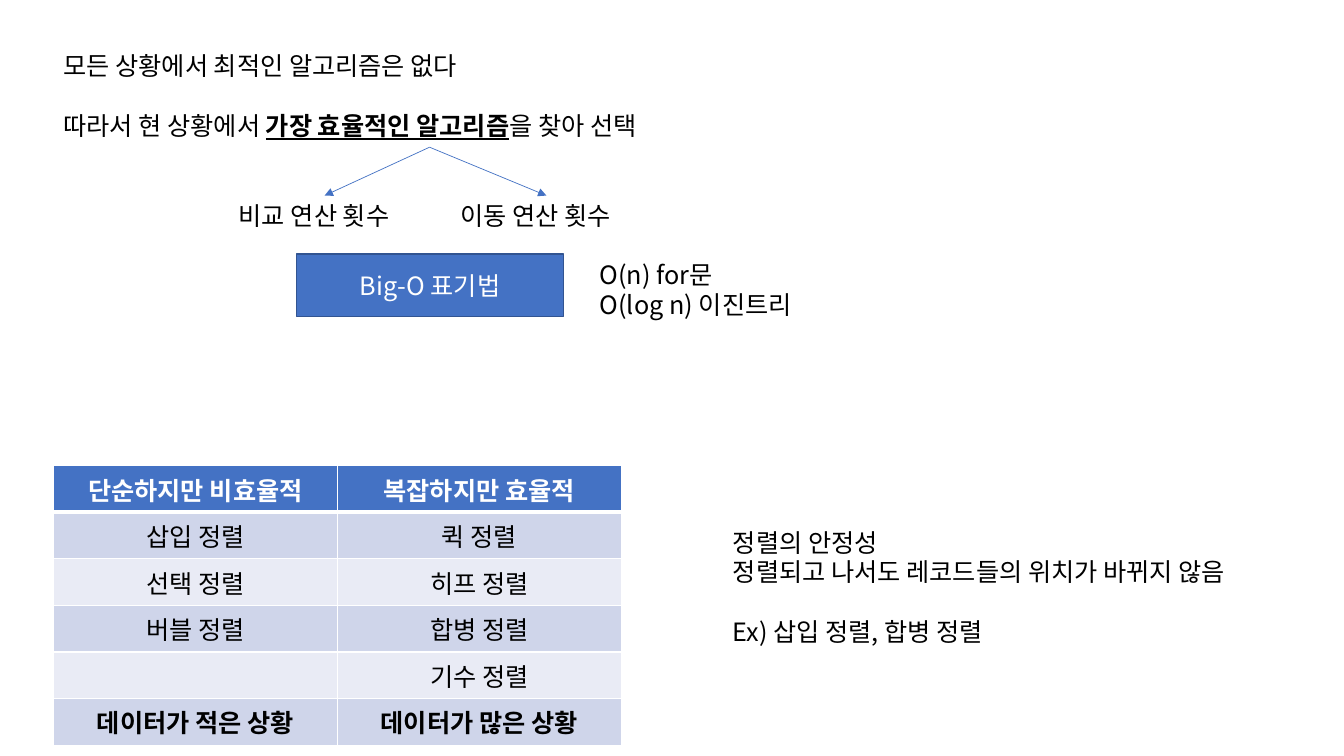
from dataclasses import dataclass

from lxml import etree
from pptx import Presentation, util as u
from pptx.dml.color import RGBColor
from pptx.enum import shapes as s, text as t
from pptx.oxml import ns


@dataclass(frozen=True)
class Theme:
    font: str = "Noto Sans CJK KR"
    size: float = 18
    pitch: float = 21.4
    thin: float = 1
    thick: float = 3
    arrow: float = 0.5
    blue: str = "4472C4"
    edge: str = "325491"
    dark: str = "000000"
    white: str = "FFFFFF"
    bands: tuple[str, str] = ("CFD5EA", "E9EBF5")


@dataclass(frozen=True)
class Box:
    x: float
    y: float
    w: float
    h: float


@dataclass(frozen=True)
class Run:
    text: str
    strong: bool = False


@dataclass(frozen=True)
class Line:
    runs: tuple[Run, ...]
    gap: bool = False


@dataclass(frozen=True)
class Note:
    box: Box
    lines: tuple[Line, ...]


THEME = Theme()
WIDE, HIGH = u.Inches(13.33), u.Inches(7.5)
TOP, ROW = 25.87, 6.13
FORK = (31.96, 19.47)
GRID = Box(3.98, 61.6, 42.24, 6 * ROW)
BADGE = Box(22.06, 33.6, 19.88, 8.27)


def line(text: str, gap: bool = False) -> Line:
    return Line((Run(text),), gap)


NOTES = (
    Note(Box(53.79, 69.07, 42.76, 17.47), (
        line("정렬의 안정성"),
        line("정렬되고 나서도 레코드들의 위치가 바뀌지 않음"),
        line("Ex) 삽입 정렬, 합병 정렬", gap=True),
    )),
    Note(Box(3.98, 6, 49.74, 13.47), (
        line("모든 상황에서 최적인 알고리즘은 없다"),
        Line((
            Run("따라서 현 상황에서 "),
            Run("가장 효율적인 알고리즘", strong=True),
            Run("을 찾아 선택"),
        ), gap=True),
    )),
    Note(Box(43.89, 33.73, 16.88, 9.47), (
        line("O(n) for문"),
        line("O(log n) 이진트리"),
    )),
)
COSTS = (
    Note(Box(17.03, TOP, 14.25, 5.33), (line("비교 연산 횟수"),)),
    Note(Box(33.53, TOP, 14.25, 5.33), (line("이동 연산 횟수"),)),
)
SORTS = (
    ("단순하지만 비효율적", "복잡하지만 효율적"),
    ("삽입 정렬", "퀵 정렬"),
    ("선택 정렬", "히프 정렬"),
    ("버블 정렬", "합병 정렬"),
    ("", "기수 정렬"),
    ("데이터가 적은 상황", "데이터가 많은 상황"),
)


def across(share: float) -> int:
    return round(WIDE * share / 100)


def down(share: float) -> int:
    return round(HIGH * share / 100)


def place(box: Box) -> tuple[int, int, int, int]:
    return across(box.x), down(box.y), across(box.w), down(box.h)


def color(code: str) -> RGBColor:
    return RGBColor.from_string(code)


def write(para, text: str, ink: str, bold: bool = False, under: bool = False) -> None:
    run = para.add_run()
    run.text = text
    font = run.font
    font.name, font.size = THEME.font, u.Pt(THEME.size)
    font.bold, font.underline = bold, under
    font.color.rgb = color(ink)
    etree.SubElement(run._r.get_or_add_rPr(), ns.qn("a:ea"), typeface=THEME.font)


def draw_note(slide, note: Note):
    shape = slide.shapes.add_textbox(*place(note.box))
    frame = shape.text_frame
    frame.word_wrap = True
    for i, row in enumerate(note.lines):
        para = frame.add_paragraph() if i else frame.paragraphs[0]
        para.line_spacing = u.Pt(THEME.pitch)
        if row.gap:
            para.space_before = u.Pt(THEME.pitch)
        for run in row.runs:
            write(para, run.text, THEME.dark, run.strong, run.strong)
    return shape


def draw_arrow(slide, goal) -> None:
    x, y = across(FORK[0]), down(FORK[1])
    arrow = slide.shapes.add_connector(s.MSO_CONNECTOR.STRAIGHT, x, y, x, y)
    arrow.end_connect(goal, 0)
    arrow.line.color.rgb = color(THEME.blue)
    arrow.line.width = u.Pt(THEME.arrow)
    etree.SubElement(arrow.line._get_or_add_ln(), ns.qn("a:tailEnd"), type="triangle")
    etree.SubElement(arrow._element.spPr, ns.qn("a:effectLst"))


def draw_badge(slide) -> None:
    shape = slide.shapes.add_shape(s.MSO_SHAPE.RECTANGLE, *place(BADGE))
    shape.shadow.inherit = False
    shape.fill.solid()
    shape.fill.fore_color.rgb = color(THEME.blue)
    shape.line.color.rgb = color(THEME.edge)
    shape.line.width = u.Pt(THEME.thin)
    frame = shape.text_frame
    frame.vertical_anchor = t.MSO_ANCHOR.MIDDLE
    para = frame.paragraphs[0]
    para.alignment = t.PP_ALIGN.CENTER
    para.line_spacing = u.Pt(THEME.pitch)
    write(para, "Big-O 표기법", THEME.white)


def add_edge(cell, side: str, width: float) -> None:
    props = cell._tc.get_or_add_tcPr()
    edge = etree.SubElement(props, ns.qn(f"a:ln{side}"), w=str(u.Pt(width)))
    fill = etree.SubElement(edge, ns.qn("a:solidFill"))
    etree.SubElement(fill, ns.qn("a:srgbClr"), val=THEME.white)


def draw_cell(cell, text: str, row: int) -> None:
    head, last = row == 0, row == len(SORTS) - 1
    heavy = {0: "B", 1: "T"}.get(row)
    for side in "LRTB":
        add_edge(cell, side, THEME.thick if side == heavy else THEME.thin)
    cell.fill.solid()
    cell.fill.fore_color.rgb = color(THEME.blue if head else THEME.bands[(row - 1) % 2])
    cell.vertical_anchor = t.MSO_ANCHOR.MIDDLE
    para = cell.text_frame.paragraphs[0]
    para.alignment = t.PP_ALIGN.CENTER
    if text:
        write(para, text, THEME.white if head else THEME.dark, head or last)


def draw_table(slide) -> None:
    table = slide.shapes.add_table(len(SORTS), len(SORTS[0]), *place(GRID)).table
    table.horz_banding = False
    for i, names in enumerate(SORTS):
        table.rows[i].height = down(ROW)
        for j, name in enumerate(names):
            draw_cell(table.cell(i, j), name, i)


def main() -> None:
    deck = Presentation()
    deck.slide_width, deck.slide_height = WIDE, HIGH
    slide = deck.slides.add_slide(deck.slide_layouts[6])
    draw_table(slide)
    for note in NOTES:
        draw_note(slide, note)
    for cost in COSTS:
        draw_arrow(slide, draw_note(slide, cost))
    draw_badge(slide)
    deck.save("out.pptx")


if __name__ == "__main__":
    main()
